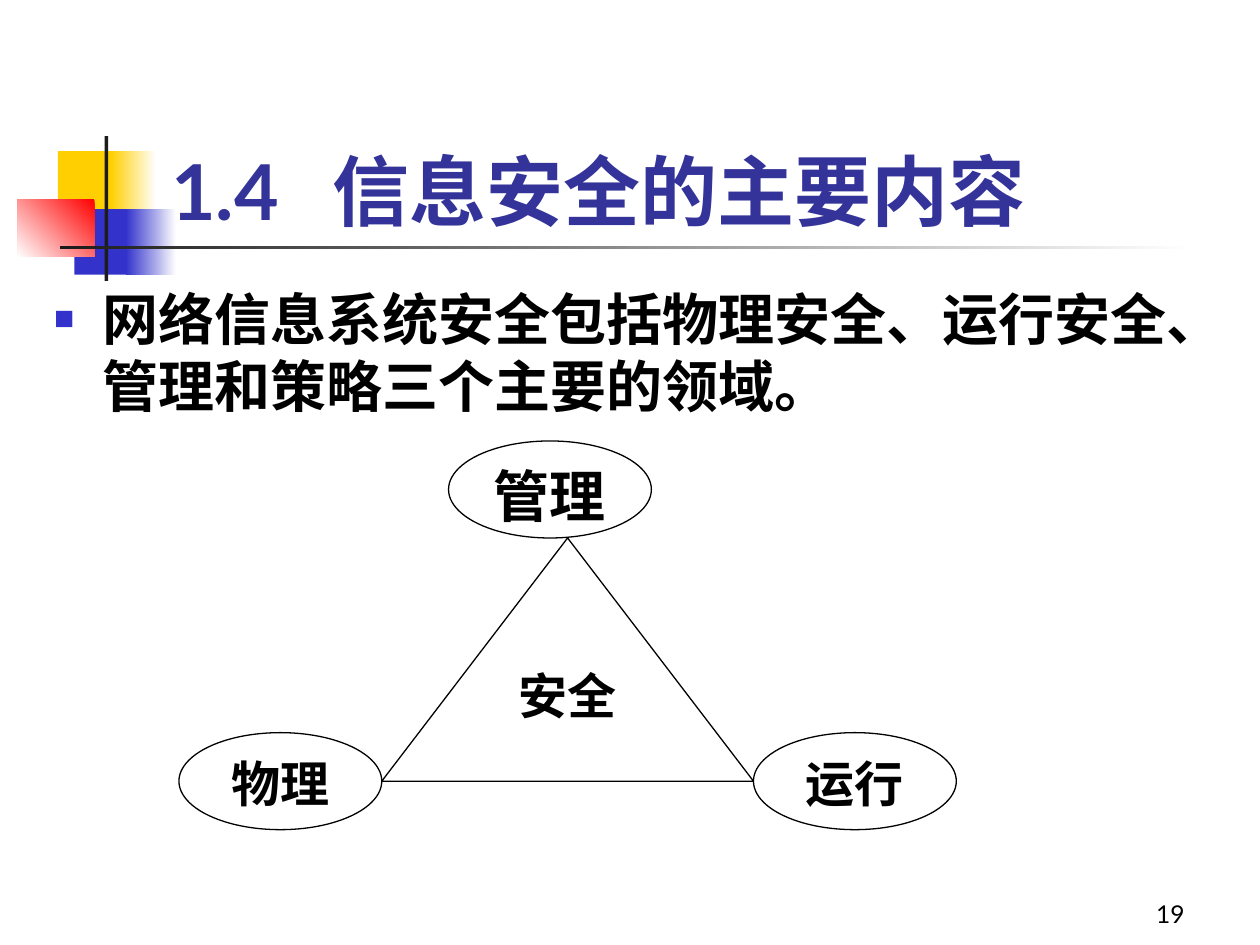
from lxml import etree
from pptx import Presentation
from pptx.dml.color import RGBColor
from pptx.enum.shapes import MSO_SHAPE
from pptx.enum.text import MSO_ANCHOR, MSO_AUTO_SIZE, PP_ALIGN
from pptx.oxml.ns import qn
from pptx.util import Inches, Pt

RECTANGLE, OVAL, TRIANGLE = MSO_SHAPE.RECTANGLE, MSO_SHAPE.OVAL, MSO_SHAPE.ISOSCELES_TRIANGLE
TOP, BOTTOM = MSO_ANCHOR.TOP, MSO_ANCHOR.BOTTOM
LEFT, CENTER, RIGHT = PP_ALIGN.LEFT, PP_ALIGN.CENTER, PP_ALIGN.RIGHT
NO_AUTOFIT = MSO_AUTO_SIZE.NONE

WHITE = RGBColor(0xFF, 0xFF, 0xFF)
BLACK = RGBColor(0x00, 0x00, 0x00)
CHARCOAL = RGBColor(0x1C, 0x1C, 0x1C)
YELLOW = RGBColor(0xFF, 0xCF, 0x01)
BLUE = RGBColor(0x33, 0x33, 0xCC)
RED = RGBColor(0xFF, 0x00, 0x00)
TITLE_BLUE = RGBColor(0x33, 0x33, 0x99)

SLIDE_W, SLIDE_H = 10, 7.5
LATIN, SONG, HEITI = "Lato", "Times New Roman", "Noto Sans CJK SC"
NODE_W, NODE_H = 1.61, 0.77
TRIANGLE_X, TRIANGLE_Y, TRIANGLE_W, TRIANGLE_H = 3.03, 4.27, 2.95, 1.93


def place(shape, left, top, width, height):
    shape.left, shape.top = Inches(left), Inches(top)
    shape.width, shape.height = Inches(width), Inches(height)


def write(shape, text, size, font=LATIN, color=BLACK, bold=True, align=LEFT, anchor=TOP):
    frame = shape.text_frame
    frame.word_wrap = True
    frame.auto_size = NO_AUTOFIT
    frame.vertical_anchor = anchor
    paragraph = frame.paragraphs[0]
    paragraph.alignment = align
    paragraph.space_before = Pt(0)
    run = paragraph.add_run()
    run.text = text
    run.font.name = font
    run.font.size = Pt(size)
    run.font.bold = bold
    run.font.color.rgb = color
    east_asian = etree.SubElement(run.font._element, qn("a:ea"))
    east_asian.set("typeface", LATIN)
    return paragraph


def add_tab_stop(paragraph, position):
    stops = etree.SubElement(paragraph._p.get_or_add_pPr(), qn("a:tabLst"))
    etree.SubElement(stops, qn("a:tab"), pos=str(Inches(position)), algn="l")


def add_square_bullet(paragraph, color, indent):
    properties = paragraph._p.get_or_add_pPr()
    properties.set("marL", str(Inches(indent)))
    properties.set("indent", str(-Inches(indent)))
    bullet_color = etree.SubElement(properties, qn("a:buClr"))
    etree.SubElement(bullet_color, qn("a:srgbClr"), val=str(color))
    etree.SubElement(properties, qn("a:buSzPct"), val="60000")
    etree.SubElement(properties, qn("a:buChar"), char="■")


def add_block(slide, box, start, end=None, angle=180):
    block = slide.shapes.add_shape(RECTANGLE, *map(Inches, box))
    block.shadow.inherit = False
    block.line.fill.background()
    if end is None:
        block.fill.solid()
        block.fill.fore_color.rgb = start
        return
    block.fill.gradient()
    block.fill.gradient_angle = angle
    for stop, color in zip(block.fill.gradient_stops, (start, end)):
        stop.color.rgb = color


def add_outlined(slide, kind, box, label, size):
    figure = slide.shapes.add_shape(kind, *map(Inches, box))
    figure.shadow.inherit = False
    figure.fill.solid()
    figure.fill.fore_color.rgb = WHITE
    figure.line.color.rgb = BLACK
    figure.line.width = Pt(0.75)
    write(figure, label, size, font=SONG, align=CENTER)


def add_title_ornament(slide):
    add_block(slide, (0.46, 1.2, 0.48, 0.52), YELLOW)
    add_block(slide, (0.88, 1.2, 0.36, 0.52), WHITE, YELLOW)
    add_block(slide, (0.59, 1.66, 0.46, 0.52), BLUE)
    add_block(slide, (1, 1.66, 0.4, 0.52), WHITE, BLUE)
    add_block(slide, (0.14, 1.58, 0.61, 0.46), RED, WHITE, angle=225)
    add_block(slide, (0.83, 1.08, 0.03, 1.15), CHARCOAL)
    add_block(slide, (0.48, 1.95, 0.9 * SLIDE_W, 0.03), WHITE, CHARCOAL)


def add_security_triangle(slide):
    base_y = TRIANGLE_Y + TRIANGLE_H
    node_y = base_y - NODE_H / 2
    add_outlined(slide, OVAL, (3.56, TRIANGLE_Y - NODE_H, NODE_W, NODE_H), "管理", 32)
    add_outlined(slide, TRIANGLE, (TRIANGLE_X, TRIANGLE_Y, TRIANGLE_W, TRIANGLE_H), "安全", 28)
    corners = ((TRIANGLE_X - NODE_W, "物理"), (TRIANGLE_X + TRIANGLE_W, "运行"))
    for left, label in corners:
        add_outlined(slide, OVAL, (left, node_y, NODE_W, NODE_H), label, 28)


def main():
    deck = Presentation()
    deck.slide_width, deck.slide_height = Inches(SLIDE_W), Inches(SLIDE_H)
    slide = deck.slides.add_slide(deck.slide_layouts[1])
    add_title_ornament(slide)

    title, body = slide.placeholders
    place(title, 1.26, 0.67, 8.52, 1.25)
    heading = write(title, "1.4\t信息安全的主要内容", 44, color=TITLE_BLUE, anchor=BOTTOM)
    add_tab_stop(heading, 1.28)

    place(body, 0.33, 2.21, 9.46, 1.21)
    statement = write(
        body, "网络信息系统安全包括物理安全、运行安全、管理和策略三个主要的领域。", 32, font=HEITI)
    add_square_bullet(statement, BLUE, 0.38)

    add_security_triangle(slide)

    page_number = slide.shapes.add_textbox(*map(Inches, (7.42, 6.92, 2.08, 0.5)))
    write(page_number, "19", 14, bold=False, align=RIGHT, anchor=BOTTOM)
    deck.save("out.pptx")


if __name__ == "__main__":
    main()
